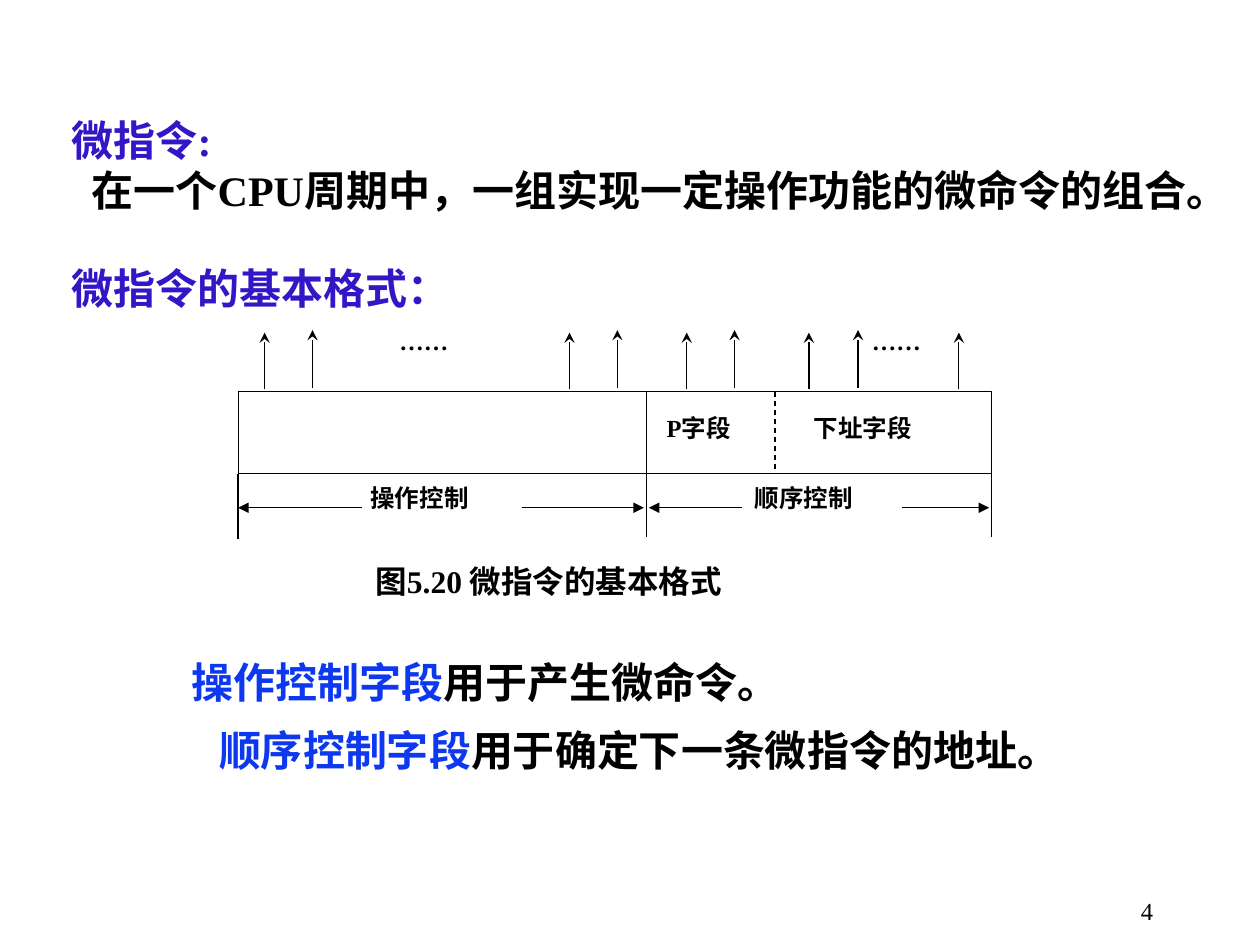
"""Build the slide on the basic format of a microinstruction."""
from pptx import Presentation
from pptx.dml.color import RGBColor
from pptx.enum.dml import MSO_LINE
from pptx.enum.shapes import MSO_CONNECTOR, MSO_SHAPE
from pptx.enum.text import MSO_ANCHOR, MSO_AUTO_SIZE, PP_ALIGN
from pptx.oxml.ns import qn
from pptx.util import Inches, Pt
from lxml import etree

BLACK = RGBColor(0x00, 0x00, 0x00)
WHITE = RGBColor(0xFF, 0xFF, 0xFF)
PURPLE = RGBColor(0x33, 0x16, 0xC6)
BLUE = RGBColor(0x0D, 0x38, 0xEF)

prs = Presentation()
prs.slide_width, prs.slide_height = Inches(10), Inches(7.5)
s = prs.slides.add_slide(prs.slide_layouts[5])


def write(sp, paragraphs, size, bold=True, align=PP_ALIGN.LEFT, inset=0.1):
    tf = sp.text_frame
    tf.word_wrap = True
    tf.auto_size = MSO_AUTO_SIZE.NONE
    tf.vertical_anchor = MSO_ANCHOR.TOP
    tf.margin_left = tf.margin_right = Inches(inset)
    tf.margin_top = tf.margin_bottom = Inches(inset / 2)
    for i, (indent, runs) in enumerate(paragraphs):
        p = tf.add_paragraph() if i else tf.paragraphs[0]
        p.alignment = align
        if indent:
            p._p.get_or_add_pPr().set("indent", str(Inches(indent)))
        for text, color in runs:
            r = p.add_run()
            r.text = text
            r.font.name = "Times New Roman"
            r.font.size = Pt(size)
            r.font.bold = bold
            r.font.color.rgb = color


def add_line(x1, y1, x2, y2, head=None):
    cn = s.shapes.add_connector(MSO_CONNECTOR.STRAIGHT, Inches(x1), Inches(y1), Inches(x2), Inches(y2))
    cn.line.color.rgb = BLACK
    cn.line.width = Pt(0.75)
    if head:
        etree.SubElement(cn.line._get_or_add_ln(), qn("a:tailEnd"), type=head)
    etree.SubElement(cn._element.spPr, qn("a:effectLst"))
    return cn


title = s.shapes.title
title.left, title.top, title.width, title.height = Inches(0.47), Inches(2.03), Inches(9.14), Inches(0.83)
write(title, [(0, [("微指令的基本格式：", PURPLE)])], 24)

paragraphs = [
    (0.47, 0.86, 9.14, 1.72, [
        (0, [("微指令:", PURPLE)]),
        (0.16, [("在一个CPU周期中，一组实现一定操作功能的微命令的组合。", BLACK)]),
    ]),
    (1.09, 5.16, 8.28, 0.6, [(0.33, [("操作控制字段", BLUE), ("用于产生微命令。", BLACK)])]),
    (1.56, 5.7, 7.89, 0.5, [(0.08, [("顺序控制字段", BLUE), ("用于确定下一条微指令的地址。", BLACK)])]),
]
for x, y, w, h, content in paragraphs:
    write(s.shapes.add_textbox(Inches(x), Inches(y), Inches(w), Inches(h)), content, 24)

LEFT, SPLIT, RIGHT = 1.89, 5.13, 7.87
TOP, BOTTOM, DIM_Y = 3.11, 3.76, 4.03

sp = s.shapes.add_shape(MSO_SHAPE.RECTANGLE, Inches(LEFT), Inches(TOP), Inches(RIGHT - LEFT), Inches(BOTTOM - TOP))
sp.shadow.inherit = False
sp.fill.solid()
sp.fill.fore_color.rgb = WHITE
sp.line.color.rgb = BLACK
sp.line.width = Pt(0.75)

add_line(6.15, TOP, 6.15, BOTTOM).line.dash_style = MSO_LINE.DASH
for x, y1, y2 in [(LEFT, BOTTOM, 4.28), (SPLIT, TOP, 4.26), (RIGHT, BOTTOM, 4.26)]:
    add_line(x, y1, x, y2)

for x1, x2 in [(2.87, LEFT), (4.14, 5.11), (5.89, 5.15), (7.16, 7.85)]:
    add_line(x1, DIM_Y, x2, DIM_Y, "triangle")

for i, x in enumerate([2.1, 2.48, 4.52, 4.9, 5.45, 5.83, 6.42, 6.81, 7.61]):
    lift = 0.02 * (i % 2)
    add_line(x, 3.09 - lift / 2, x, 2.64 - lift, "stealth")

labels = [
    ("P字段", 5.29, 3.28, 0.8, 14),
    ("下址字段", 6.46, 3.28, 1.13, 14),
    ("操作控制", 2.94, 3.83, 1.21, 14),
    ("顺序控制", 5.99, 3.83, 1.21, 14),
    ("……", 3.17, 2.59, 0.6, 14),
    ("……", 6.92, 2.59, 0.6, 14),
    ("图5.20 微指令的基本格式", 2.98, 4.46, 4.12, 18),
]
for text, x, y, w, size in labels:
    sp = s.shapes.add_textbox(Inches(x), Inches(y), Inches(w), Inches(0.5))
    write(sp, [(0, [(text, BLACK)])], size, inset=0)

number = s.shapes.add_textbox(Inches(7.17), Inches(7.06), Inches(2.08), Inches(0.28))
write(number, [(0, [("4", BLACK)])], 14, bold=False, align=PP_ALIGN.RIGHT)

prs.save("out.pptx")
